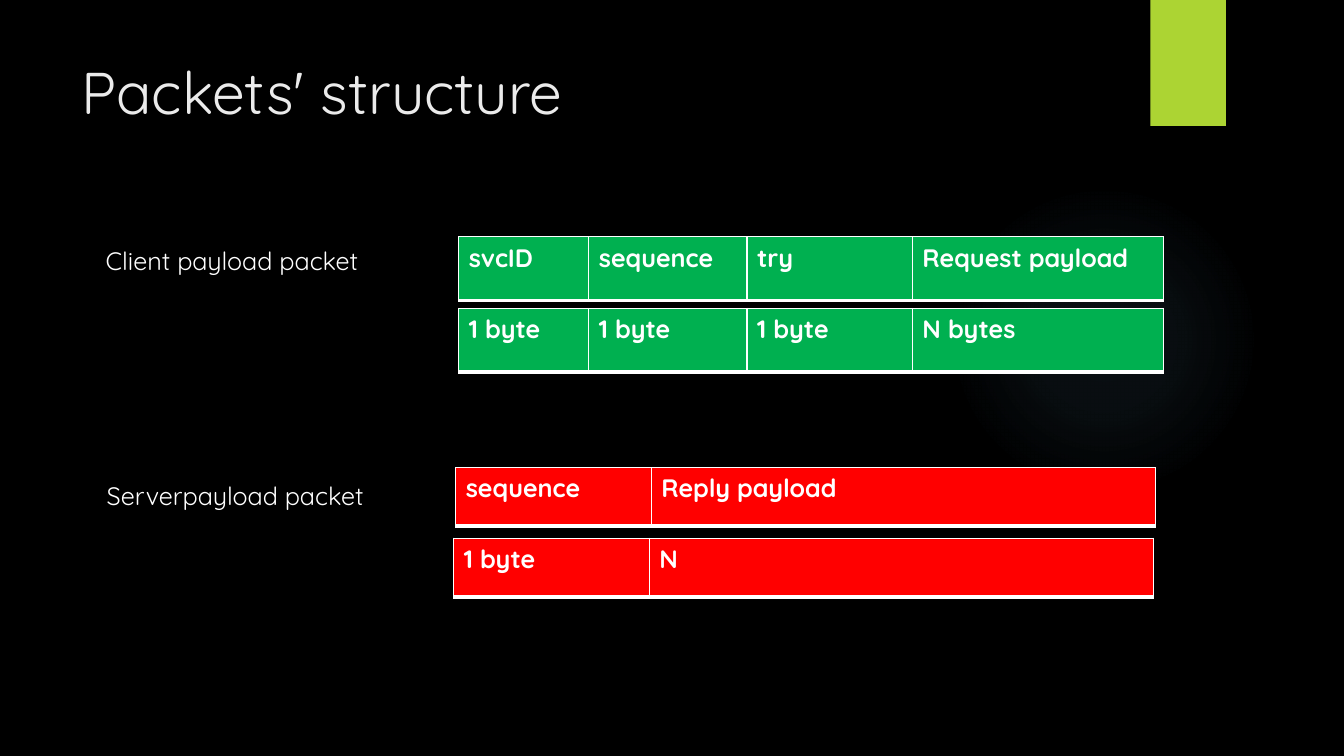
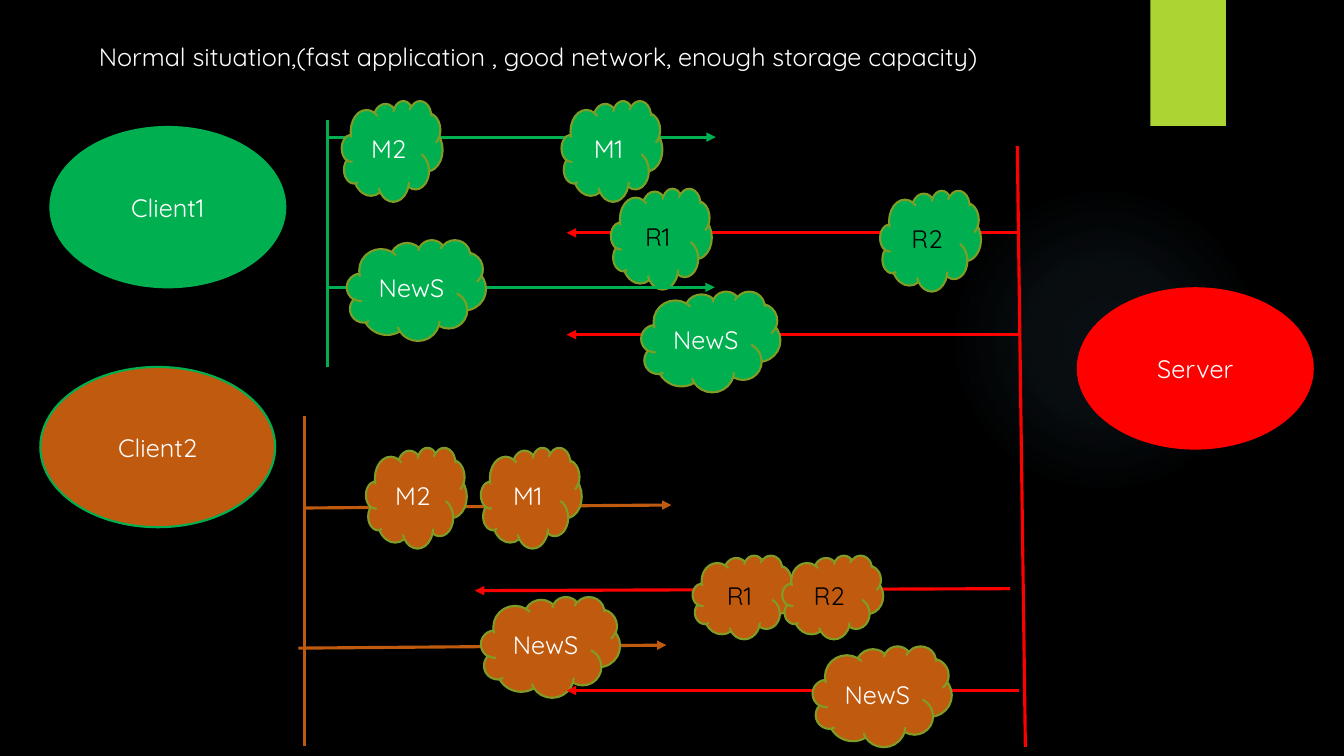
from lxml import etree
from pptx import Presentation
from pptx.dml.color import RGBColor
from pptx.enum.shapes import MSO_CONNECTOR, MSO_SHAPE
from pptx.enum.text import MSO_ANCHOR, MSO_AUTO_SIZE, PP_ALIGN
from pptx.oxml import parse_xml
from pptx.oxml.ns import nsdecls, qn
from pptx.util import Inches, Pt

STRAIGHT = MSO_CONNECTOR.STRAIGHT
RECTANGLE, ELLIPSE, CLOUD = MSO_SHAPE.RECTANGLE, MSO_SHAPE.OVAL, MSO_SHAPE.CLOUD
TOP = MSO_ANCHOR.TOP
NO_AUTOFIT = MSO_AUTO_SIZE.NONE
LEFT, CENTER = PP_ALIGN.LEFT, PP_ALIGN.CENTER

FONT = "Quicksand"
COLORS = {
    "black": "000000",
    "white": "FFFFFF",
    "title": "EBEBEB",
    "lime": "ACD433",
    "olive": "7F9D26",
    "glow": "7AC4F0",
    "green": "00B050",
    "red": "FF0000",
    "orange": "C05A0E",
}
RGB = {name: RGBColor.from_string(value) for name, value in COLORS.items()}


def write(text_frame, text, color="white", size=18, align=LEFT, bold=False):
    text_frame.word_wrap = True
    text_frame.text = text
    paragraph = text_frame.paragraphs[0]
    paragraph.alignment = align
    paragraph.font.name = FONT
    paragraph.font.size = Pt(size)
    paragraph.font.bold = bold
    paragraph.font.color.rgb = RGB[color]


def add_filled(slide, kind, box, fill, outline=None):
    shape = slide.shapes.add_shape(kind, *map(Inches, box))
    shape.shadow.inherit = False
    shape.fill.solid()
    shape.fill.fore_color.rgb = RGB[fill]
    if outline:
        shape.line.color.rgb = RGB[outline]
        shape.line.width = Pt(1.5)
    else:
        shape.line.fill.background()
    return shape


presentation = Presentation()
presentation.slide_width = Inches(13.33)
presentation.slide_height = Inches(7.5)
background = presentation.slide_master.background.fill
background.solid()
background.fore_color.rgb = RGB["black"]
title_only = presentation.slide_layouts[5]

GLOW_STOPS = "".join(
    f'<a:gs pos="{position}000"><a:srgbClr val="{COLORS["glow"]}">'
    f'<a:alpha val="{alpha}000"/></a:srgbClr></a:gs>'
    for position, alpha in [(0, 7), (36, 6), (69, 0)]
)
GLOW_FILL = (
    f'<a:gradFill {nsdecls("a")}><a:gsLst>{GLOW_STOPS}</a:gsLst><a:path path="circle">'
    '<a:fillToRect l="50000" t="50000" r="50000" b="50000"/></a:path></a:gradFill>'
)

titles = [
    ("Packets' structure", "title", 42, (0.71, 0.5, 10.29, 1.53)),
    ("Normal situation,(fast application , good network, enough storage capacity)",
     "white", 18, (0.88, 0.36, 10.39, 0.4)),
]
slides = []
for text, color, size, box in titles:
    slide = presentation.slides.add_slide(title_only)
    glow = add_filled(slide, ELLIPSE, (9.41, 1.83, 3.08, 3.08), "glow")
    properties = glow.element.spPr
    properties.replace(properties.find(qn("a:solidFill")), parse_xml(GLOW_FILL))
    add_filled(slide, RECTANGLE, (11.41, 0, 0.75, 1.25), "lime")
    title = slide.shapes.title
    title.left, title.top, title.width, title.height = map(Inches, box)
    write(title.text_frame, text, color, size)
    title.text_frame.vertical_anchor = TOP
    title.text_frame.auto_size = NO_AUTOFIT
    slides.append(slide)
packet_slide, flow_slide = slides

packet_labels = [
    ("Client payload packet", 0.95, 2.38),
    ("Serverpayload packet", 0.96, 4.72),
]
for text, left, top in packet_labels:
    label = flow_box = packet_slide.shapes.add_textbox(
        Inches(left), Inches(top), Inches(3), Inches(0.4))
    write(label.text_frame, text)

CLIENT_COLUMNS = (1.29, 1.57, 1.64, 2.49)
SERVER_COLUMNS = (1.94, 5)
BORDERS = {"lnL": 1, "lnR": 1, "lnT": 1, "lnB": 3}
packet_tables = [
    (4.55, 2.35, 0.63, "green", CLIENT_COLUMNS, ("svcID", "sequence", "try", "Request payload")),
    (4.55, 3.06, 0.63, "green", CLIENT_COLUMNS, ("1 byte", "1 byte", "1 byte", "N bytes")),
    (4.52, 4.64, 0.58, "red", SERVER_COLUMNS, ("sequence", "Reply payload")),
    (4.5, 5.34, 0.58, "red", SERVER_COLUMNS, ("1 byte", "N")),
]
for left, top, height, color, widths, texts in packet_tables:
    table = packet_slide.shapes.add_table(
        1, len(widths), Inches(left), Inches(top), Inches(sum(widths)), Inches(height)).table
    table.horz_banding = False
    for column, cell, width, text in zip(table.columns, table.rows[0].cells, widths, texts):
        column.width = Inches(width)
        write(cell.text_frame, text, bold=True)
        cell_properties = cell._tc.get_or_add_tcPr()
        for side, points in BORDERS.items():
            border = etree.SubElement(cell_properties, qn(f"a:{side}"), w=str(Pt(points)))
            border_fill = etree.SubElement(border, qn("a:solidFill"))
            etree.SubElement(border_fill, qn("a:srgbClr"), val=COLORS["white"])
        cell.fill.solid()
        cell.fill.fore_color.rgb = RGB[color]

hosts = [
    ("Client1", 0.5, 1.26, "green", "green"),
    ("Server", 10.69, 2.86, "red", "red"),
    ("Client2", 0.4, 3.64, "orange", "green"),
]
for text, left, top, fill, outline in hosts:
    host = add_filled(flow_slide, ELLIPSE, (left, top, 2.33, 1.59), fill, outline)
    write(host.text_frame, text, align=CENTER)

timelines = [
    ("green", (3.25, 1.19, 3.25, 3.64)),
    ("red", (10.09, 1.45, 10.17, 7.41)),
    ("orange", (3.02, 4.13, 3.02, 7.4)),
]
messages = [
    ("green", (3.26, 1.36, 7.1, 1.36), "green", 1, [("M2", 3.39, 1), ("M1", 5.57, 1)]),
    ("red", (10.11, 2.31, 5.62, 2.31), "green", 1, [("R1", 6.06, 1.87), ("R2", 8.73, 1.89)]),
    ("orange", (3.02, 5.04, 6.66, 5.01), "orange", 1, [("M2", 3.63, 4.44), ("M1", 4.77, 4.44)]),
    ("red", (10.02, 5.84, 4.71, 5.86), "orange", 0.83, [("R1", 6.87, 5.51), ("R2", 7.76, 5.51)]),
    ("green", (3.25, 2.85, 7.09, 2.85), "green", 1, [("NewS", 3.44, 2.38)]),
    ("orange", (2.96, 6.43, 6.61, 6.4), "orange", 1, [("NewS", 4.77, 5.92)]),
    ("red", (10.11, 3.32, 5.62, 3.32), "green", 1, [("NewS", 6.36, 2.89)]),
    ("red", (10.11, 6.85, 5.62, 6.85), "orange", 1, [("NewS", 8.06, 6.41)]),
]
plain_lines = [(color, ends, None, 0, []) for color, ends in timelines]
for line_color, ends, cloud_color, cloud_height, clouds in plain_lines + messages:
    connector = flow_slide.shapes.add_connector(STRAIGHT, *map(Inches, ends))
    connector.line.color.rgb = RGB[line_color]
    connector.line.width = Pt(2.25)
    line_properties = connector.element.spPr
    if clouds:
        etree.SubElement(line_properties.find(qn("a:ln")), qn("a:tailEnd"), type="triangle")
    etree.SubElement(line_properties, qn("a:effectLst"))
    for text, left, top in clouds:
        cloud_width = 1.38 if text == "NewS" else 1
        cloud = add_filled(
            flow_slide, CLOUD, (left, top, cloud_width, cloud_height), cloud_color, "olive")
        text_color = "black" if text.startswith("R") else "white"
        write(cloud.text_frame, text, text_color, align=CENTER)

presentation.save("out.pptx")
